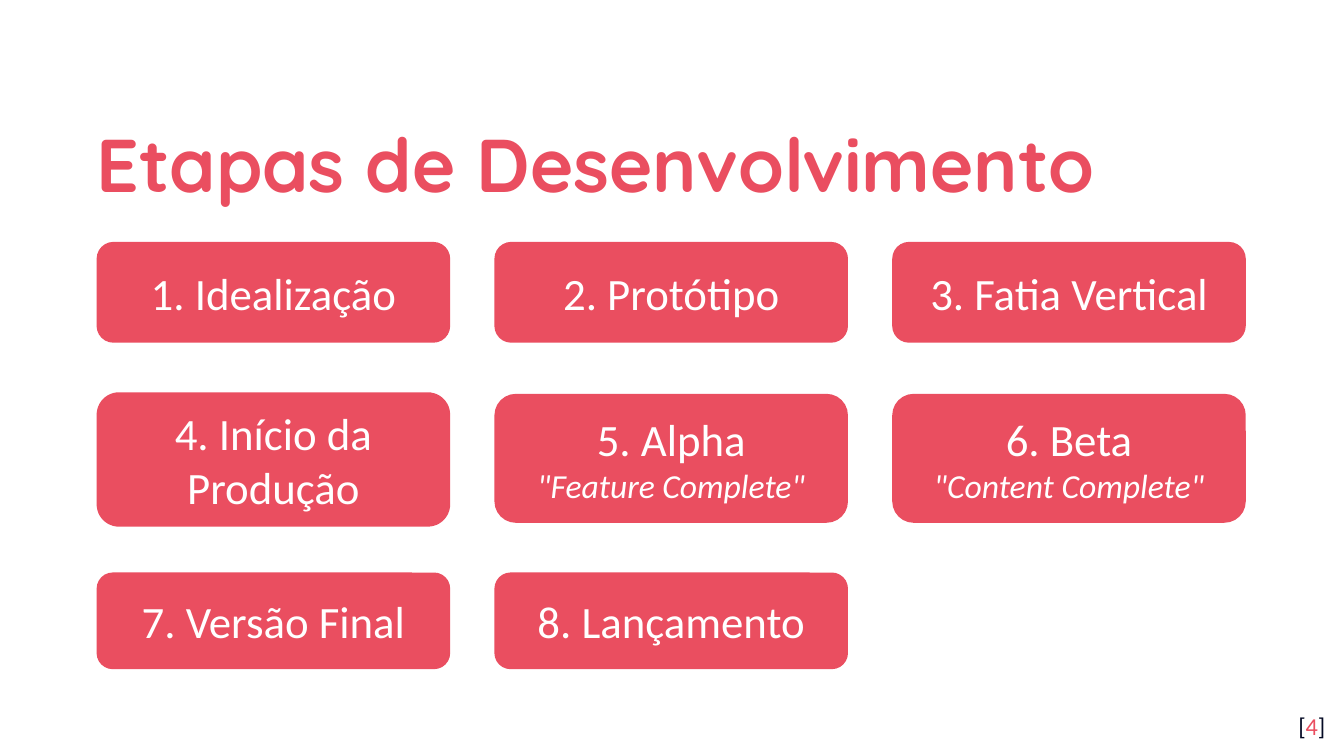
"""Builds the slide that lists the eight stages of development."""
from pptx import Presentation
from pptx.dml.color import RGBColor
from pptx.enum.shapes import MSO_SHAPE
from pptx.enum.text import MSO_ANCHOR, PP_ALIGN
from pptx.util import Pt

COLORS = {"accent": "EA4E60", "dark": "040A24", "white": "FFFFFF"}
LEFT, PITCH, CARD_WIDTH = 51.8, 213.1, 189.4
STAGE_ROWS = [
    [("1. Idealização", 129.6, 54),
     ("2. Protótipo", 129.6, 54),
     ("3. Fatia Vertical", 129.6, 54)],
    [("4. Início da Produção", 210.2, 72),
     ('5. Alpha\v"Feature Complete"', 211, 69.1),
     ('6. Beta\v"Content Complete"', 211, 69.1)],
    [("7. Versão Final", 306.7, 51.8),
     ("8. Lançamento", 306.7, 51.8)],
]


def rgb(name):
    """Return the named colour."""
    return RGBColor.from_string(COLORS[name])


def style(r, size, color, font="Calibri", bold=False, italic=False):
    """Format one run."""
    r.font.name, r.font.size = font, Pt(size)
    r.font.bold, r.font.italic = bold, italic
    r.font.color.rgb = rgb(color)


def add_text_box(s, x, y, w, h):
    """Add a wrapping text box with equal insets and return its text frame."""
    tf = s.shapes.add_textbox(Pt(x), Pt(y), Pt(w), Pt(h)).text_frame
    tf.word_wrap = True
    tf.margin_left = tf.margin_right = tf.margin_top = tf.margin_bottom = Pt(7.2)
    return tf


def add_title(s, text):
    """Add the slide title."""
    tf = add_text_box(s, 44.6, 50.4, 631.4, 66.2)
    tf.vertical_anchor = MSO_ANCHOR.MIDDLE
    tf.text = text
    p = tf.paragraphs[0]
    p.line_spacing = 1.15
    style(p.runs[0], 40, "accent", "Quicksand", bold=True)


def add_page_number(s, number):
    """Add the bracketed page number in the bottom corner."""
    p = add_text_box(s, 673.9, 373.7, 43.2, 31).paragraphs[0]
    p.alignment = PP_ALIGN.RIGHT
    for text, color in (("[", "dark"), (number, "accent"), ("]", "dark")):
        r = p.add_run()
        r.text = text
        style(r, 13, color)


def add_stage(s, text, x, y, h):
    """Add a stage card whose optional second line is small and italic."""
    sp = s.shapes.add_shape(MSO_SHAPE.ROUNDED_RECTANGLE,
                            Pt(x), Pt(y), Pt(CARD_WIDTH), Pt(h))
    sp.shadow.inherit = False
    sp.fill.solid()
    sp.fill.fore_color.rgb = rgb("accent")
    sp.line.fill.background()
    tf = sp.text_frame
    tf.word_wrap = True
    tf.vertical_anchor = MSO_ANCHOR.MIDDLE
    p = tf.paragraphs[0]
    p.text = text
    p.alignment = PP_ALIGN.CENTER
    name, *notes = p.runs
    style(name, 24, "white")
    for r in notes:
        style(r, 18, "white", italic=True)


def main():
    """Build and save the slide."""
    prs = Presentation()
    prs.slide_width, prs.slide_height = Pt(720), Pt(405)
    s = prs.slides.add_slide(prs.slide_layouts[6])
    add_title(s, "Etapas de Desenvolvimento")
    add_page_number(s, "4")
    for row in STAGE_ROWS:
        for column, (text, y, h) in enumerate(row):
            add_stage(s, text, LEFT + column * PITCH, y, h)
    prs.save("out.pptx")


if __name__ == "__main__":
    main()
